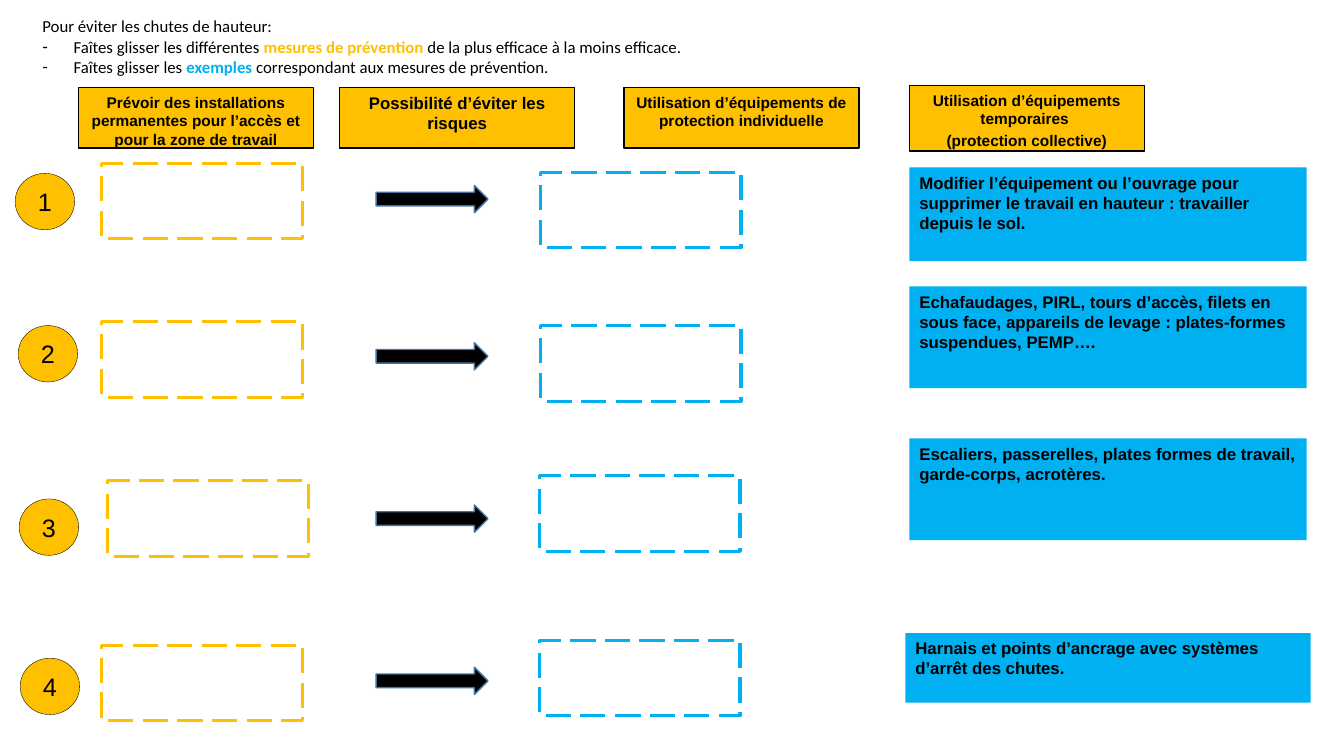
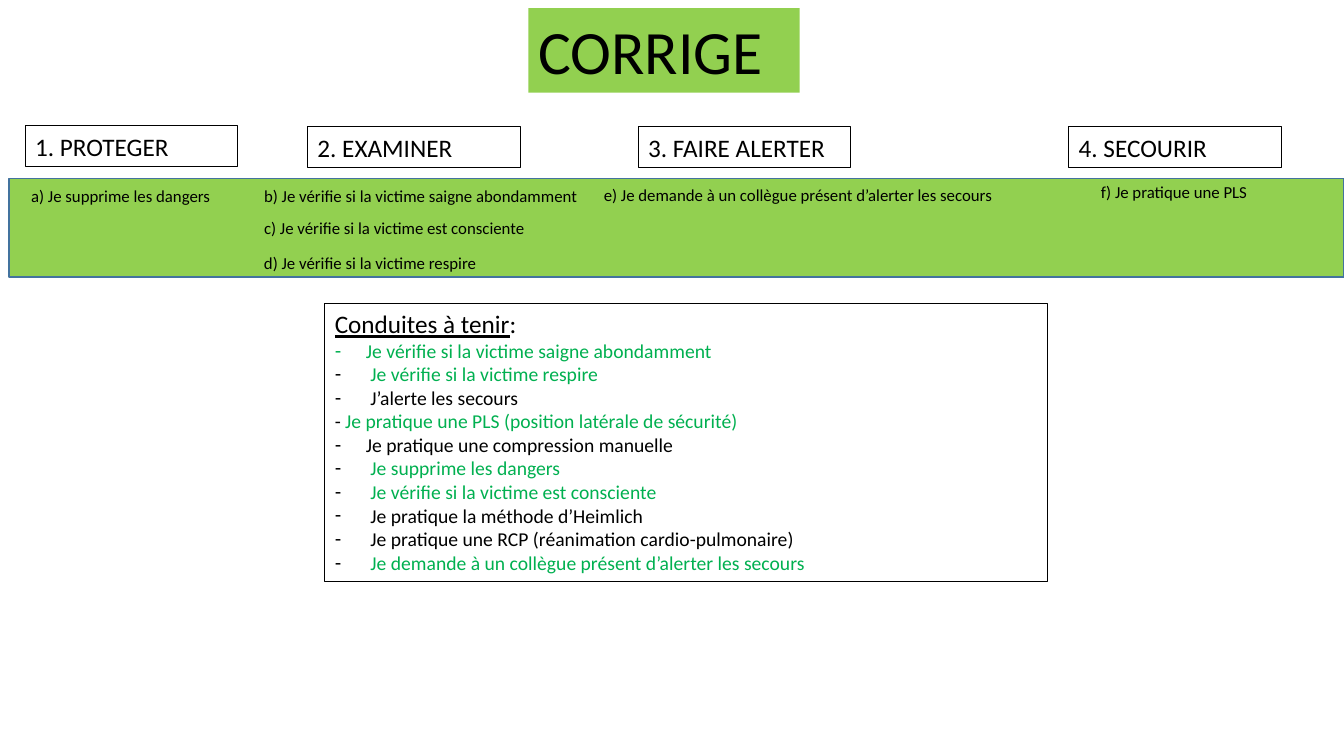
from lxml.etree import SubElement
from pptx import Presentation
from pptx.dml.color import RGBColor
from pptx.enum.dml import MSO_LINE
from pptx.enum.shapes import MSO_SHAPE as Preset
from pptx.enum.text import MSO_ANCHOR as Anchor, MSO_AUTO_SIZE as AutoSize, PP_ALIGN as Align
from pptx.oxml.ns import qn
from pptx.util import Inches, Pt

BLACK, WHITE = "000000", "FFFFFF"
AMBER, SKY = "FFC000", "00B0F0"
LIME, GREEN, STEEL = "92D050", "00B050", "43739E"

# Paragraphs are lists of (text, colour) runs; coloured words are bold in the instructions.
INSTRUCTIONS = [
    [("Pour éviter les chutes de hauteur:", BLACK)],
    [("Faîtes glisser les différentes ", BLACK), ("mesures de prévention ", AMBER),
     ("de la plus efficace à la moins efficace.", BLACK)],
    [("Faîtes glisser les ", BLACK), ("exemples", SKY),
     (" correspondant aux mesures de prévention.", BLACK)],
]

# Paragraphs, text size, left, top, height
MEASURES = [
    (["Prévoir des installations permanentes pour l’accès et pour la zone de travail"],
     11, 0.78, 0.87, 0.6),
    (["Possibilité d’éviter les risques"], 12, 3.37, 0.87, 0.6),
    (["Utilisation d’équipements de protection individuelle"], 11, 6.19, 0.87, 0.6),
    (["Utilisation d’équipements temporaires ", "(protection collective)"],
     11, 9.02, 0.85, 0.65),
]

# Text, left, top, width, height
EXAMPLES = [
    ("Modifier l’équipement ou l’ouvrage pour supprimer le travail en hauteur : "
     "travailler depuis le sol.", 9.02, 1.66, 3.94, 0.93),
    ("Echafaudages, PIRL, tours d’accès, filets en sous face, appareils de levage : "
     "plates-formes suspendues, PEMP….", 9.02, 2.84, 3.94, 1.01),
    ("Escaliers, passerelles, plates formes de travail, garde-corps, acrotères.",
     9.02, 4.35, 3.94, 1.01),
    ("Harnais et points d’ancrage avec systèmes d’arrêt des chutes.",
     8.98, 6.28, 4.02, 0.69),
]

# Left and top of: rank badge, measure slot, arrow, example slot
RANKS = [
    ((0.15, 1.72), (1.01, 1.62), (3.73, 1.84), (5.36, 1.71)),
    ((0.18, 3.23), (1.01, 3.19), (3.73, 3.4), (5.36, 3.23)),
    ((0.19, 4.95), (1.07, 4.77), (3.73, 5.01), (5.35, 4.72)),
    ((0.2, 6.53), (1.01, 6.4), (3.73, 6.62), (5.35, 6.35)),
]

ANSWER_TITLE = "CORRIGE"

# Heading, left, top
STEPS = [
    ("1. PROTEGER", 0.25, 1.25),
    ("2. EXAMINER", 3.05, 1.26),
    ("3. FAIRE ALERTER", 6.33, 1.26),
    ("4. SECOURIR", 10.6, 1.26),
]

# Text, left, top, width
ACTIONS = [
    ("a) Je supprime les dangers", 0.21, 1.79, 2),
    ("b) Je vérifie si la victime saigne abondamment", 2.52, 1.79, 3.35),
    ("c) Je vérifie si la victime est consciente", 2.52, 2.11, 2.82),
    ("d) Je vérifie si la victime respire", 2.52, 2.46, 2.33),
    ("e) Je demande à un collègue présent d’alerter les secours", 5.89, 1.78, 4.06),
    ("f) Je pratique une PLS ", 10.82, 1.75, 1.76),
]

CONDUCT_HEADING = [("Conduites à tenir", BLACK), (":", BLACK)]
CONDUCTS = [
    [("Je vérifie si la victime saigne abondamment ", GREEN)],
    [(" ", BLACK), ("Je vérifie si la victime respire ", GREEN)],
    [(" J’alerte les secours", BLACK)],
    [("- ", BLACK), ("Je pratique une PLS (position latérale de sécurité)", GREEN)],
    [("Je pratique une compression manuelle ", BLACK)],
    [(" ", BLACK), ("Je supprime les dangers ", GREEN)],
    [(" ", BLACK), ("Je vérifie si la victime est consciente ", GREEN)],
    [(" Je pratique la méthode d’Heimlich ", BLACK)],
    [(" Je pratique une RCP (réanimation cardio-pulmonaire) ", BLACK)],
    [(" ", BLACK), ("Je demande à un collègue présent d’alerter les secours", GREEN)],
]


def rgb(code):
    """Turn a hex string into a colour."""
    return RGBColor.from_string(code)


def place(shape, left, top, width, height):
    """Move and size a placeholder, in inches."""
    shape.left, shape.top = Inches(left), Inches(top)
    shape.width, shape.height = Inches(width), Inches(height)


def paint(shape, fill=None, line=None, weight=1, dash=None):
    """Set the fill and outline; None means there is none."""
    if fill:
        shape.fill.solid()
        shape.fill.fore_color.rgb = rgb(fill)
    else:
        shape.fill.background()
    if line:
        shape.line.color.rgb = rgb(line)
        shape.line.width = Pt(weight)
        if dash:
            shape.line.dash_style = dash
    else:
        shape.line.fill.background()


def add_block(slide, preset, left, top, width, height, **look):
    """Add a preset shape without shadow, in inches."""
    block = slide.shapes.add_shape(
        preset, Inches(left), Inches(top), Inches(width), Inches(height))
    block.shadow.inherit = False
    paint(block, **look)
    return block


def set_list_style(paragraph, dashed):
    """Give a paragraph a hanging dash, or neither bullet nor indent."""
    props = paragraph._p.get_or_add_pPr()
    indent = Inches(0.31) if dashed else 0
    props.set("marL", str(indent))
    props.set("indent", str(-indent))
    if dashed:
        SubElement(props, qn("a:buChar")).set("char", "-")
    else:
        SubElement(props, qn("a:buNone"))


def style(paragraph, size, font="Calibri", align=Align.LEFT, bold=False, before=0):
    """Set what all runs of a paragraph share."""
    paragraph.alignment = align
    paragraph.space_before = Pt(before)
    paragraph.font.name = font
    paragraph.font.size = Pt(size)
    paragraph.font.bold = bold
    paragraph.font.color.rgb = rgb(BLACK)


def add_runs(paragraph, runs):
    """Add (text, colour) runs and return them."""
    added = []
    for text, colour in runs:
        run = paragraph.add_run()
        run.text = text
        run.font.color.rgb = rgb(colour)
        added.append(run)
    return added


def paragraphs_for(frame, items):
    """Yield one paragraph of the frame with each item."""
    for index, item in enumerate(items):
        yield (frame.add_paragraph() if index else frame.paragraphs[0]), item


def write(shape, lines, size, anchor=Anchor.TOP, **looks):
    """Write plain paragraphs; later ones are spaced by a fifth of the text size."""
    frame = shape.text_frame
    frame.vertical_anchor = anchor
    for index, (paragraph, line) in enumerate(paragraphs_for(frame, lines)):
        paragraph.text = line
        style(paragraph, size, before=0.2 * size if index else 0, **looks)


def open_body(slide, *box):
    """Place the body placeholder and return its text frame."""
    body = slide.placeholders[1]
    place(body, *box)
    body.text_frame.auto_size = AutoSize.NONE
    body.text_frame.vertical_anchor = Anchor.TOP
    return body.text_frame


def build_exercise(slide):
    """Build the ranking exercise on falls from height."""
    title = slide.shapes.title.element
    title.getparent().remove(title)
    intro = open_body(slide, 0.32, 0.11, 12.84, 0.71)
    for paragraph, runs in paragraphs_for(intro, INSTRUCTIONS):
        set_list_style(paragraph, dashed=runs is not INSTRUCTIONS[0])
        style(paragraph, 12)
        for run, (_, colour) in zip(add_runs(paragraph, runs), runs):
            run.font.bold = colour != BLACK

    for lines, size, left, top, height in MEASURES:
        measure = add_block(slide, Preset.RECTANGLE, left, top, 2.33, height,
                            fill=AMBER, line=BLACK)
        write(measure, lines, size, font="Arial", align=Align.CENTER, bold=True)
    for text, *box in EXAMPLES:
        example = add_block(slide, Preset.RECTANGLE, *box, fill=SKY)
        write(example, [text], 12, font="Arial", bold=True)

    for rank, (badge_at, measure_at, arrow_at, example_at) in enumerate(RANKS, 1):
        badge = add_block(slide, Preset.OVAL, *badge_at, 0.59, 0.56,
                          fill=AMBER, line=BLACK, weight=0.25)
        write(badge, [str(rank)], 18, Anchor.MIDDLE, font="Arial", align=Align.CENTER)
        for slot_at, colour in ((measure_at, AMBER), (example_at, SKY)):
            add_block(slide, Preset.RECTANGLE, *slot_at, 1.99, 0.75, fill=WHITE,
                      line=colour, weight=2.25, dash=MSO_LINE.LONG_DASH)
        add_block(slide, Preset.RIGHT_ARROW, *arrow_at, 1.11, 0.27,
                  fill=BLACK, line=STEEL)


def build_answers(slide):
    """Build the answer sheet on first aid."""
    title = slide.shapes.title
    place(title, 5.24, 0.08, 2.69, 0.84)
    paint(title, fill=LIME)
    title.text_frame.auto_size = AutoSize.NONE
    write(title, [ANSWER_TITLE], 44)

    add_block(slide, Preset.RECTANGLE, 0.09, 1.77, 13.24, 0.98, fill=LIME, line=STEEL)
    for heading, left, top in STEPS:
        step = add_block(slide, Preset.RECTANGLE, left, top, 2.11, 0.4,
                         line=BLACK, weight=0.75)
        write(step, [heading], 18)
    for text, left, top, width in ACTIONS:
        action = slide.shapes.add_textbox(
            Inches(left), Inches(top), Inches(width), Inches(0.3))
        action.text_frame.word_wrap = False
        write(action, [text], 12)

    conducts = open_body(slide, 3.22, 3.01, 7.17, 2.76)
    paint(slide.placeholders[1], line=BLACK, weight=0.75)
    for paragraph, runs in paragraphs_for(conducts, [CONDUCT_HEADING, *CONDUCTS]):
        is_heading = runs is CONDUCT_HEADING
        typed_dash = runs[0][0] == "- "
        set_list_style(paragraph, dashed=not (is_heading or typed_dash))
        style(paragraph, 18 if is_heading else 14, align=Align.JUSTIFY)
        added = add_runs(paragraph, runs)
        if is_heading:
            added[0].font.underline = True


deck = Presentation()
deck.slide_width, deck.slide_height = Inches(13.33), Inches(7.5)
for build in (build_exercise, build_answers):
    build(deck.slides.add_slide(deck.slide_layouts[1]))
deck.save("out.pptx")
